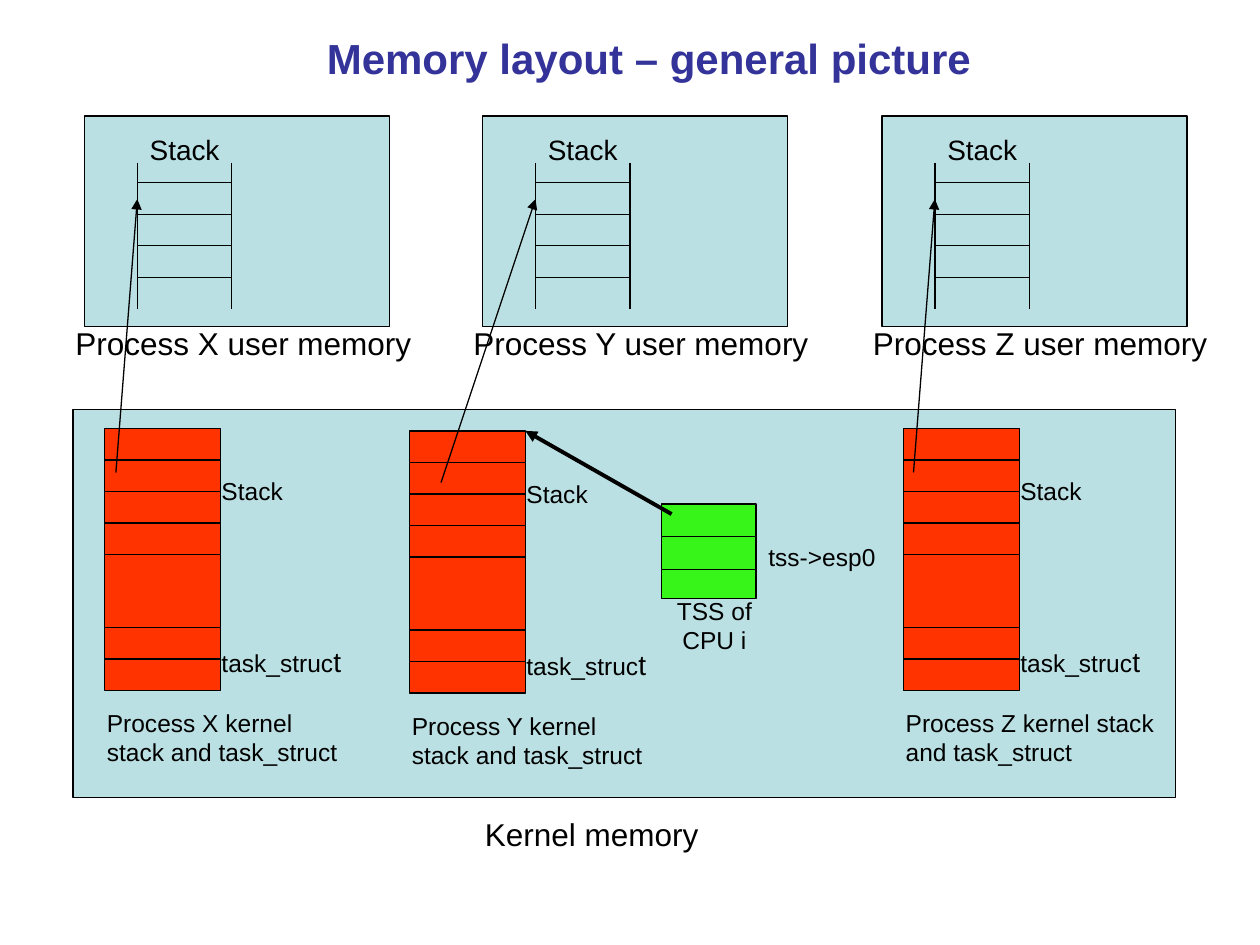
from lxml.etree import SubElement
from pptx import Presentation
from pptx.dml.color import RGBColor
from pptx.enum.shapes import MSO_CONNECTOR as Connector, MSO_SHAPE as Shape
from pptx.enum.text import MSO_ANCHOR as Anchor, MSO_AUTO_SIZE as AutoSize, PP_ALIGN as Align
from pptx.oxml.ns import qn
from pptx.util import Inches, Pt

COLORS = {
    "title": "333399",
    "ink": "000000",
    "memory": "BBE0E3",
    "kernel_stack": "FF3300",
    "tss": "38F519",
}
FONT = "Arial"


def color(name):
    return RGBColor.from_string(COLORS[name])


def style_run(run, size, ink="ink", bold=False):
    run.font.name = FONT
    run.font.size = Pt(size)
    run.font.bold = bold
    run.font.color.rgb = color(ink)


def add_block(shapes, left, top, width, height, fill):
    block = shapes.add_shape(Shape.RECTANGLE, Inches(left), Inches(top),
                             Inches(width), Inches(height))
    block.shadow.inherit = False
    block.fill.solid()
    block.fill.fore_color.rgb = color(fill)
    block.line.color.rgb = color("ink")
    block.line.width = Pt(0.75)


def add_label(shapes, left, top, width, height, parts, align=Align.LEFT):
    """Add one paragraph made of (text, size) parts."""
    label = shapes.add_textbox(Inches(left), Inches(top), Inches(width), Inches(height))
    label.text_frame.word_wrap = True
    paragraph = label.text_frame.paragraphs[0]
    paragraph.alignment = align
    for text, size in parts:
        run = paragraph.add_run()
        run.text = text
        style_run(run, size)


def add_line(shapes, start, end, width=0.75, arrow=False):
    line = shapes.add_connector(Connector.STRAIGHT, *map(Inches, start + end))
    line.line.color.rgb = color("ink")
    line.line.width = Pt(width)
    if arrow:
        SubElement(line.line._get_or_add_ln(), qn("a:tailEnd"), type="triangle")
    SubElement(line._element.spPr, qn("a:effectLst"))


def add_rungs(shapes, left, width, heights):
    for y in heights:
        add_line(shapes, (left, y), (left + width, y))


def add_title(slide, text):
    title = slide.shapes.title
    title.left, title.top, title.width, title.height = map(Inches, (1.53, 0.21, 7.24, 0.5))
    frame = title.text_frame
    frame.text = text
    frame.auto_size = AutoSize.NONE
    frame.vertical_anchor = Anchor.MIDDLE
    frame.paragraphs[0].alignment = Align.CENTER
    style_run(frame.paragraphs[0].runs[0], 24, "title", bold=True)


def add_user_memory(shapes, process, left, top):
    add_block(shapes, left, top, 2.42, 1.67, "memory")
    stack = shapes.add_group_shape().shapes
    stack_left, stack_width = left + 0.42, 0.75
    add_label(stack, stack_left, top + 0.08, 1, 0.37, [("Stack", 16)])
    for x in (stack_left, stack_left + stack_width):
        add_line(stack, (x, top + 0.37), (x, top + 1.53))
    add_rungs(stack, stack_left, stack_width, [top + 0.53 + 0.25 * i for i in range(4)])
    add_label(shapes, left - 0.17, top + 1.6, 3, 0.4,
              [(f"Process {process} user memory", 18)])


def add_kernel_stack(shapes, process, left, top):
    group = shapes.add_group_shape().shapes
    width, height, step = 0.92, 2.08, 0.25
    add_label(group, left + 0.83, top + 0.33, 1, 0.34, [("Stack", 14)])
    add_label(group, left - 0.08, top + 2.17, 2.17, 0.57,
              [(f"Process {process} kernel stack and task_struct", 14)])
    add_block(group, left, top, width, height, "kernel_stack")
    add_label(group, left + 0.83, top + 1.67, 1.33, 0.37, [("task_struc", 14), ("t", 16)])
    stack_rungs = [top + step * i for i in range(1, 5)]
    task_rungs = [top + height - step * i for i in (1, 2)]
    add_rungs(group, left, width, stack_rungs + task_rungs)


def add_tss(shapes, left, top):
    group = shapes.add_group_shape().shapes
    side = 0.75
    add_block(group, left, top, side, side, "tss")
    add_label(group, left - 0.08, top + 0.68, 1, 0.57, [("TSS of CPU i", 14)], Align.CENTER)
    add_rungs(group, left, side, [top + 0.26 * i for i in (1, 2)])
    add_label(group, left + side, top + 0.25, 1.42, 0.34, [("tss->esp0", 14)])


def main():
    deck = Presentation()
    deck.slide_width, deck.slide_height = Inches(10), Inches(7.5)
    slide = deck.slides.add_slide(deck.slide_layouts[5])
    shapes = slide.shapes

    add_title(slide, "Memory layout – general picture")
    add_block(shapes, 0.58, 3.25, 8.75, 3.08, "memory")
    add_label(shapes, 3.75, 6.42, 2, 0.4, [("Kernel memory", 18)])
    add_tss(shapes, 5.25, 4)

    # process: user memory left, kernel stack corner, start of the saved pointer
    processes = {
        "X": (0.67, (0.83, 3.4), (0.92, 3.75)),
        "Y": (3.83, (3.25, 3.42), (3.5, 3.83)),
        "Z": (7, (7.17, 3.4), (7.25, 3.75)),
    }
    for process, (user_left, kernel_corner, _) in processes.items():
        add_user_memory(shapes, process, user_left, 0.92)
        add_kernel_stack(shapes, process, *kernel_corner)
    for user_left, _, pointer_start in processes.values():
        add_line(shapes, pointer_start, (user_left + 0.42, 1.58), arrow=True)
    add_line(shapes, (5.33, 4.08), (4.17, 3.42), width=2.25, arrow=True)

    deck.save("out.pptx")


if __name__ == "__main__":
    main()
